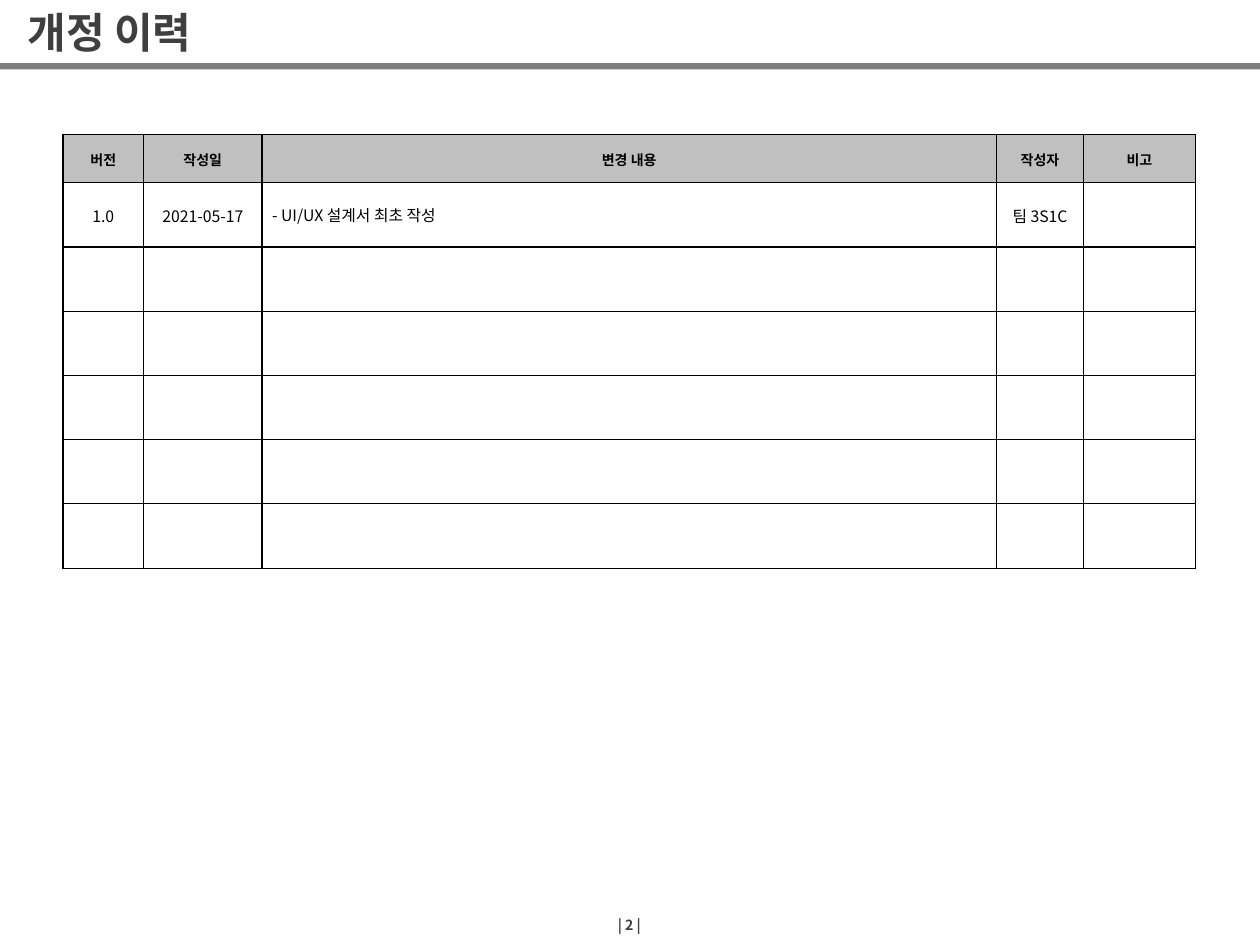
from dataclasses import dataclass

from lxml import etree
from pptx import Presentation
from pptx.dml.color import RGBColor
from pptx.enum.shapes import MSO_SHAPE
from pptx.enum.text import MSO_ANCHOR, PP_ALIGN
from pptx.oxml.ns import qn
from pptx.util import Inches, Pt

RECT = MSO_SHAPE.RECTANGLE
MIDDLE = MSO_ANCHOR.MIDDLE
LEFT, CENTER = PP_ALIGN.LEFT, PP_ALIGN.CENTER
SIDES = ("a:lnL", "a:lnR", "a:lnT", "a:lnB")
TIGHT = (0.01, 0.01, 0.01, 0)
LOOSE = (0.08, 0.02, 0.06, 0.02)


@dataclass
class Theme:
    font: str = "Noto Sans CJK KR"
    dark: str = "3F3F3F"
    bar: str = "7F7F7F"
    head: str = "C0C0C0"
    black: str = "000000"
    white: str = "FFFFFF"
    title: int = 24
    body: int = 9
    small: int = 8
    line: float = 0.75


class Page:
    """Draws styled elements on one slide."""

    def __init__(self, slide, theme):
        self.slide = slide
        self.theme = theme

    def style(self, para, size, color, bold, align):
        para.alignment = align
        font = para.font
        font.size, font.bold, font.name = Pt(size), bold, self.theme.font
        font.color.rgb = RGBColor.from_string(color)
        props = para._p.get_or_add_pPr().get_or_add_defRPr()
        etree.SubElement(props, qn("a:ea"), typeface=self.theme.font)

    def bar(self, *box):
        shape = self.slide.shapes.add_shape(RECT, *map(Inches, box))
        shape.shadow.inherit = False
        shape.fill.solid()
        shape.fill.fore_color.rgb = RGBColor.from_string(self.theme.bar)
        shape.line.fill.background()

    def text(self, box, text, size, align=LEFT, space=1.0):
        frame = self.slide.shapes.add_textbox(*map(Inches, box)).text_frame
        frame.word_wrap = True
        frame.vertical_anchor = MIDDLE
        para = frame.paragraphs[0]
        para.text = text
        para.line_spacing = space
        self.style(para, size, self.theme.dark, True, align)

    def border(self, cell):
        props = cell._tc.get_or_add_tcPr()
        for i, side in enumerate(SIDES):
            line = etree.Element(qn(side), w=str(Pt(self.theme.line)))
            fill = etree.SubElement(line, qn("a:solidFill"))
            etree.SubElement(fill, qn("a:srgbClr"), val=self.theme.black)
            props.insert(i, line)

    def cell(self, cell, text, head, align):
        theme = self.theme
        cell.fill.solid()
        cell.fill.fore_color.rgb = RGBColor.from_string(theme.head if head else theme.white)
        self.border(cell)
        cell.vertical_anchor = MIDDLE
        pads = TIGHT if align == CENTER else LOOSE
        (cell.margin_left, cell.margin_top,
         cell.margin_right, cell.margin_bottom) = map(Inches, pads)
        para = cell.text_frame.paragraphs[0]
        para.text = text
        self.style(para, theme.small if head else theme.body, theme.black, head, align)

    def table(self, left, top, cols, rows, data, wide):
        table = self.slide.shapes.add_table(
            len(rows), len(cols), Inches(left), Inches(top),
            Inches(sum(cols)), Inches(sum(rows))).table
        table.first_row = table.horz_banding = False
        for col, width in zip(table.columns, cols):
            col.width = Inches(width)
        for r, height in enumerate(rows):
            table.rows[r].height = Inches(height)
            texts = data[r] if r < len(data) else [""] * len(cols)
            for c, text in enumerate(texts):
                align = LEFT if r and c == wide else CENTER
                self.cell(table.cell(r, c), text, r == 0, align)


def main():
    deck = Presentation()
    deck.slide_width, deck.slide_height = Inches(10), Inches(7.5)
    theme = Theme()
    page = Page(deck.slides.add_slide(deck.slide_layouts[6]), theme)
    page.bar(0, 0.5, 10, 0.05)
    page.text((0.12, 0.05, 8.43, 0.45), "개정 이력", theme.title, space=0.9)
    page.text((4.61, 7.2, 0.77, 0.28), "| 2 |", theme.small, CENTER)
    data = [
        ["버전", "작성일", "변경 내용", "작성자", "비고"],
        ["1.0", "2021-05-17", "- UI/UX 설계서 최초 작성", "팀 3S1C", ""],
    ]
    page.table(0.5, 1.07, [0.64, 0.94, 5.83, 0.69, 0.89],
               [0.38] + [0.51] * 6, data, wide=2)
    deck.save("out.pptx")


if __name__ == "__main__":
    main()
